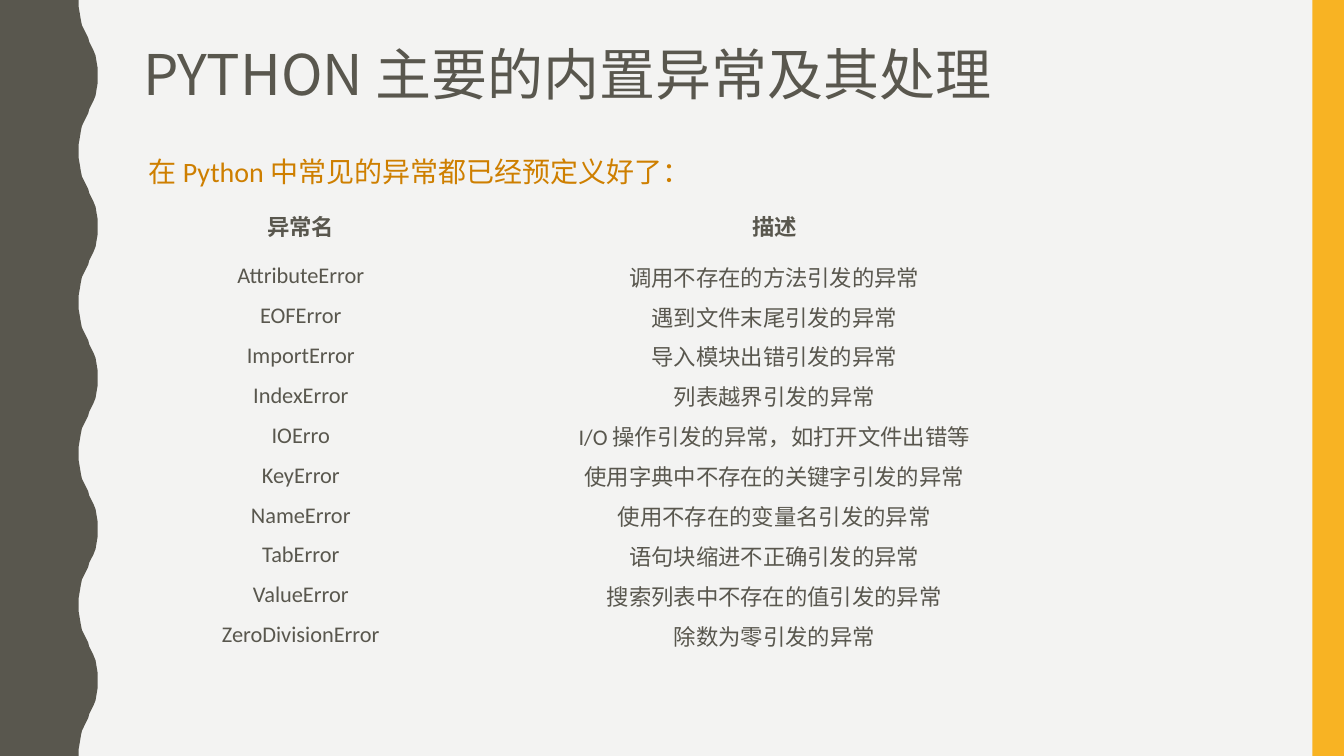
from typing import Any, NamedTuple

import pptx
import pptx.dml.color
import pptx.enum.shapes
import pptx.enum.text
import pptx.oxml.ns
import pptx.util

PX = 9525
WIDE, HIGH = 1280, 720
DARK, GOLD, AMBER, PALE = "59574E", "F8B323", "CE7F00", "F3F3F2"
SANS, HAN = "Calibri", "Noto Sans CJK SC"
PLAIN = "{2D5ABB26-0587-4C30-8999-92F81FD0307C}"
COLS = (319, 583)
HEAD, ROW = 58, 38
WAVE = (
    (75, 0), (75, 7), (76, 13), (77, 19), (78, 24), (80, 28), (82, 32), (84, 36),
    (85, 40), (87, 44), (89, 48), (91, 53), (92, 59), (93, 65), (93, 72),
)


class Box(NamedTuple):
    left: int
    top: int
    width: int
    height: int


class Label(NamedTuple):
    text: str
    box: Box
    size: int
    font: str
    color: str
    line: float
    before: int


class Error(NamedTuple):
    name: str
    note: str


LABELS = (
    Label("PYTHON 主要的内置异常及其处理", Box(127, 40, 1143, 171), 40, HAN, DARK, 0.9, 0),
    Label("在 Python 中常见的异常都已经预定义好了：", Box(132, 139, 1068, 478), 20, SANS, AMBER, 1.1, 7),
)
ERRORS = (
    Error("异常名", "描述"),
    Error("AttributeError", "调用不存在的方法引发的异常"),
    Error("EOFError", "遇到文件末尾引发的异常"),
    Error("ImportError", "导入模块出错引发的异常"),
    Error("IndexError", "列表越界引发的异常"),
    Error("IOErro", "I/O 操作引发的异常，如打开文件出错等"),
    Error("KeyError", "使用字典中不存在的关键字引发的异常"),
    Error("NameError", "使用不存在的变量名引发的异常"),
    Error("TabError", "语句块缩进不正确引发的异常"),
    Error("ValueError", "搜索列表中不存在的值引发的异常"),
    Error("ZeroDivisionError", "除数为零引发的异常"),
)


def emu(box: Box) -> list[int]:
    """Turn a box in px into EMU."""
    return [side * PX for side in box]


def paint(fill: Any, color: str) -> None:
    """Give a fill one solid colour."""
    fill.solid()
    fill.fore_color.rgb = pptx.dml.color.RGBColor.from_string(color)


def finish(shape: Any, color: str) -> None:
    """Leave a shape with a flat fill only."""
    paint(shape.fill, color)
    shape.line.fill.background()
    shape.shadow.inherit = False


def write(frame: Any, text: str, *, size: int, font: str = SANS, color: str = DARK,
          bold: bool = False, center: bool = False, line: float = 1.0, before: int = 0) -> None:
    """Write one formatted paragraph into a text frame."""
    para = frame.paragraphs[0]
    align = pptx.enum.text.PP_ALIGN
    para.alignment = align.CENTER if center else align.LEFT
    para.line_spacing = line
    para.space_before = pptx.util.Pt(before)
    run = para.add_run()
    run.text = text
    run.font.name = font
    run.font.size = pptx.util.Pt(size)
    run.font.bold = bold
    paint(run.font.fill, color)
    east = run.font._element.makeelement(pptx.oxml.ns.qn("a:ea"), {"typeface": HAN})
    run.font._element.append(east)


def draw_wave(slide: Any) -> None:
    """Draw the dark band with its wavy right edge."""
    span = WAVE[-1][1]
    edge = [(0, 0)]
    for half in range(HIGH // span):
        bend = WAVE if half % 2 == 0 else [(x, span - y) for x, y in reversed(WAVE)]
        edge += [(x, half * span + y) for x, y in bend]
    edge.append((0, HIGH))
    path = slide.shapes.build_freeform(0, 0, scale=PX)
    path.add_line_segments(edge[1:], close=True)
    finish(path.convert_to_shape(), DARK)


def draw_bar(slide: Any) -> None:
    """Draw the gold bar on the right."""
    kind = pptx.enum.shapes.MSO_SHAPE.RECTANGLE
    finish(slide.shapes.add_shape(kind, *emu(Box(1250, 0, 30, HIGH))), GOLD)


def draw_label(slide: Any, label: Label) -> None:
    """Draw a line of text in its box."""
    frame = slide.shapes.add_textbox(*emu(label.box)).text_frame
    frame.word_wrap = True
    write(frame, label.text, size=label.size, font=label.font, color=label.color,
          line=label.line, before=label.before)


def draw_table(slide: Any) -> None:
    """Draw the table of errors."""
    box = Box(127, 186, sum(COLS), HEAD + ROW * (len(ERRORS) - 1))
    table = slide.shapes.add_table(len(ERRORS), len(COLS), *emu(box)).table
    table.first_row = table.horz_banding = False
    table._tbl.tblPr.find(pptx.oxml.ns.qn("a:tableStyleId")).text = PLAIN
    for col, width in zip(table.columns, COLS):
        col.width = width * PX
    for rank, error in enumerate(ERRORS):
        table.rows[rank].height = (ROW if rank else HEAD) * PX
        for cell, text in zip(table.rows[rank].cells, error):
            cell.fill.background()
            cell.vertical_anchor = pptx.enum.text.MSO_ANCHOR.MIDDLE
            cell.margin_left = cell.margin_right = 8 * PX
            cell.margin_top = cell.margin_bottom = 4 * PX
            write(cell.text_frame, text, size=16, bold=rank == 0, center=True)


def main() -> None:
    """Build the slide and save it."""
    deck = pptx.Presentation()
    deck.slide_width, deck.slide_height = WIDE * PX, HIGH * PX
    slide = deck.slides.add_slide(deck.slide_layouts[6])
    paint(slide.background.fill, PALE)
    draw_wave(slide)
    draw_bar(slide)
    for label in LABELS:
        draw_label(slide, label)
    draw_table(slide)
    deck.save("out.pptx")


if __name__ == "__main__":
    main()
